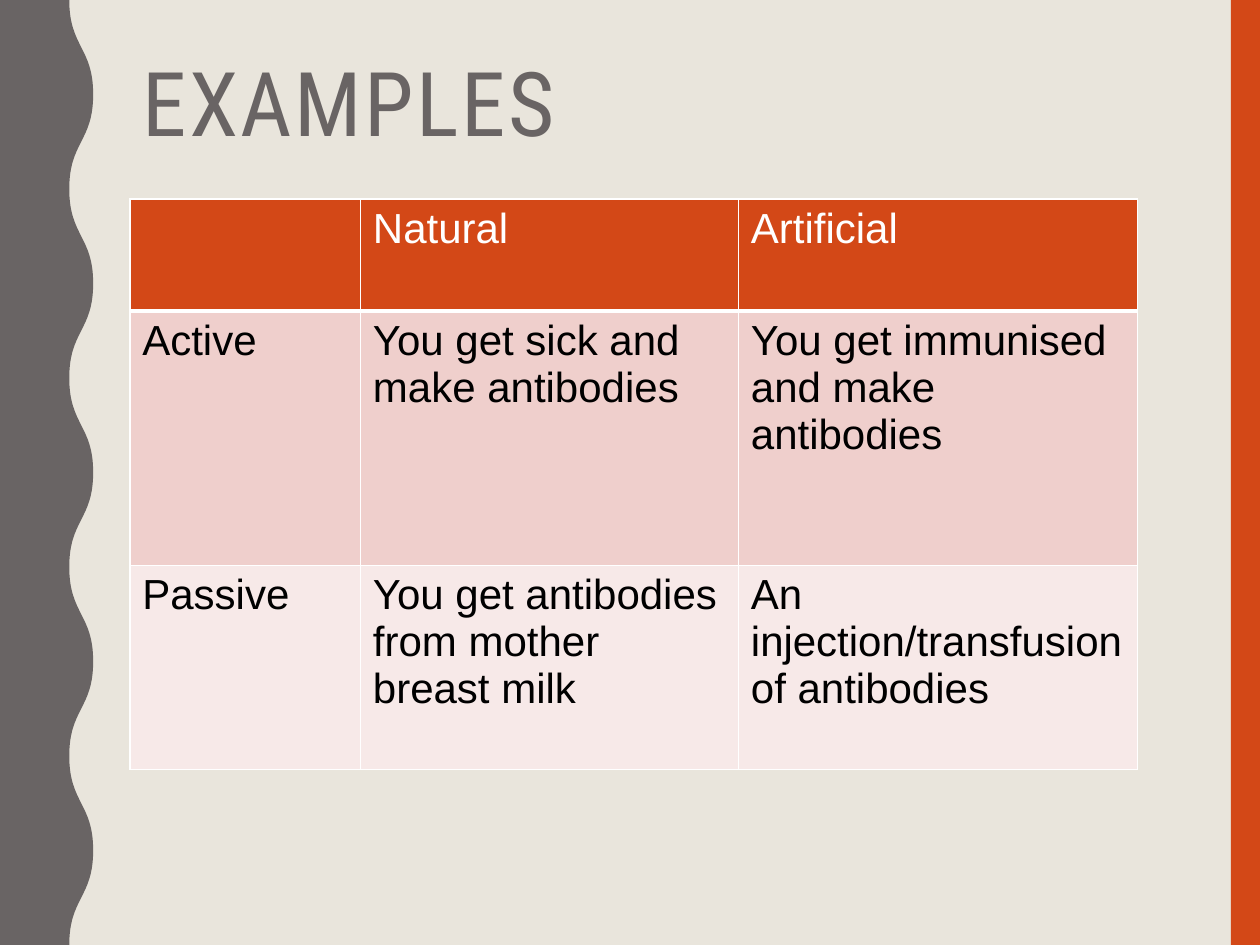
from lxml import etree
from pptx import Presentation
from pptx.dml.color import RGBColor
from pptx.enum.shapes import MSO_SHAPE
from pptx.enum.text import MSO_ANCHOR, MSO_AUTO_SIZE, PP_ALIGN
from pptx.oxml.ns import qn
from pptx.util import Inches, Pt

RECTANGLE = MSO_SHAPE.RECTANGLE
TOP = MSO_ANCHOR.TOP
LEFT = PP_ALIGN.LEFT
NO_AUTOFIT = MSO_AUTO_SIZE.NONE

CREAM, ORANGE, GRAY = "E9E5DC", "D34817", "696464"
WHITE, BLACK = "FFFFFF", "000000"
ROW_FILLS = [ORANGE, "EFCFCC", "F7E9E8"]
ROW_HEIGHTS = [0.89, 2.02, 1.62]
COLUMN_WIDTHS = [1.83, 3, 3.17]
EXAMPLES = [
    ["", "Natural", "Artificial"],
    ["Active", "You get sick and make antibodies",
     "You get immunised and make antibodies"],
    ["Passive", "You get antibodies from mother breast milk",
     "An injection/transfusion of antibodies"],
]


def rgb(value):
    return RGBColor.from_string(value)


def paint(shape, color):
    shape.fill.solid()
    shape.fill.fore_color.rgb = rgb(color)
    shape.line.fill.background()
    shape.shadow.inherit = False


def write_text(frame, text, size, color, font="Arial", line_spacing=None,
               letter_spacing=None):
    paragraph = frame.paragraphs[0]
    paragraph.alignment = LEFT
    paragraph.line_spacing = line_spacing
    run = paragraph.add_run()
    run.text = text
    run.font.size = Pt(size)
    run.font.name = font
    run.font.bold = False
    run.font.color.rgb = rgb(color)
    if letter_spacing:
        run.font._element.set("spc", str(round(letter_spacing * 100)))


def add_wave(slide, trough=0.55, crest=0.74, half_wave=0.75, halves=10):
    """Left band whose right edge swings between trough and crest."""
    turns = [(Inches(crest if turn % 2 else trough), Inches(half_wave * turn))
             for turn in range(halves + 1)]
    builder = slide.shapes.build_freeform(*turns[0])
    builder.add_line_segments(turns[1:] + [(0, turns[-1][1]), (0, 0)], close=True)
    wave = builder.convert_to_shape()
    paint(wave, GRAY)
    # Bend the edges between turns into curves
    edges = list(wave._element.iter(qn("a:lnTo")))
    for edge, start, end in zip(edges, turns, turns[1:]):
        middle = (start[1] + end[1]) // 2
        curve = etree.Element(qn("a:cubicBezTo"))
        for x, y in [(start[0], middle), (end[0], middle), end]:
            etree.SubElement(curve, qn("a:pt"), x=str(x), y=str(y))
        edge.getparent().replace(edge, curve)


def add_side_bar(slide):
    bar = slide.shapes.add_shape(
        RECTANGLE, Inches(9.77), 0, Inches(0.23), Inches(7.5))
    paint(bar, ORANGE)


def set_title(slide, text):
    title = slide.shapes.title
    title.left, title.top = Inches(1.03), Inches(0.42)
    title.width, title.height = Inches(8.35), Inches(1.63)
    frame = title.text_frame
    frame.word_wrap = True
    frame.auto_size = NO_AUTOFIT
    frame.vertical_anchor = TOP
    write_text(frame, text, 51, GRAY, font="Roboto Condensed",
               line_spacing=0.9, letter_spacing=1.5)


def set_borders(cell, **widths):
    properties = cell._tc.get_or_add_tcPr()
    for index, side in enumerate("LRTB"):
        line = etree.Element(qn(f"a:ln{side}"), w=str(Pt(widths.get(side, 1))))
        fill = etree.SubElement(line, qn("a:solidFill"))
        etree.SubElement(fill, qn("a:srgbClr"), val=WHITE)
        properties.insert(index, line)


def add_examples_table(slide):
    table = slide.shapes.add_table(
        len(EXAMPLES), len(COLUMN_WIDTHS), Inches(1.03), Inches(1.58),
        Inches(sum(COLUMN_WIDTHS)), Inches(sum(ROW_HEIGHTS))).table
    for column, width in zip(table.columns, COLUMN_WIDTHS):
        column.width = Inches(width)
    for row_index, texts in enumerate(EXAMPLES):
        row = table.rows[row_index]
        row.height = Inches(ROW_HEIGHTS[row_index])
        for cell, text in zip(row.cells, texts):
            cell.fill.solid()
            cell.fill.fore_color.rgb = rgb(ROW_FILLS[row_index])
            # The rule under the header is thicker
            set_borders(cell, T=3 if row_index == 1 else 1,
                        B=3 if row_index == 0 else 1)
            if text:
                write_text(cell.text_frame, text, 24,
                           WHITE if row_index == 0 else BLACK)


def main():
    presentation = Presentation()
    presentation.slide_width = Inches(10)
    presentation.slide_height = Inches(7.5)
    slide = presentation.slides.add_slide(presentation.slide_layouts[5])
    slide.background.fill.solid()
    slide.background.fill.fore_color.rgb = rgb(CREAM)

    # Decoration on both edges
    add_side_bar(slide)
    add_wave(slide)

    # Content
    set_title(slide, "EXAMPLES")
    add_examples_table(slide)
    presentation.save("out.pptx")


if __name__ == "__main__":
    main()
